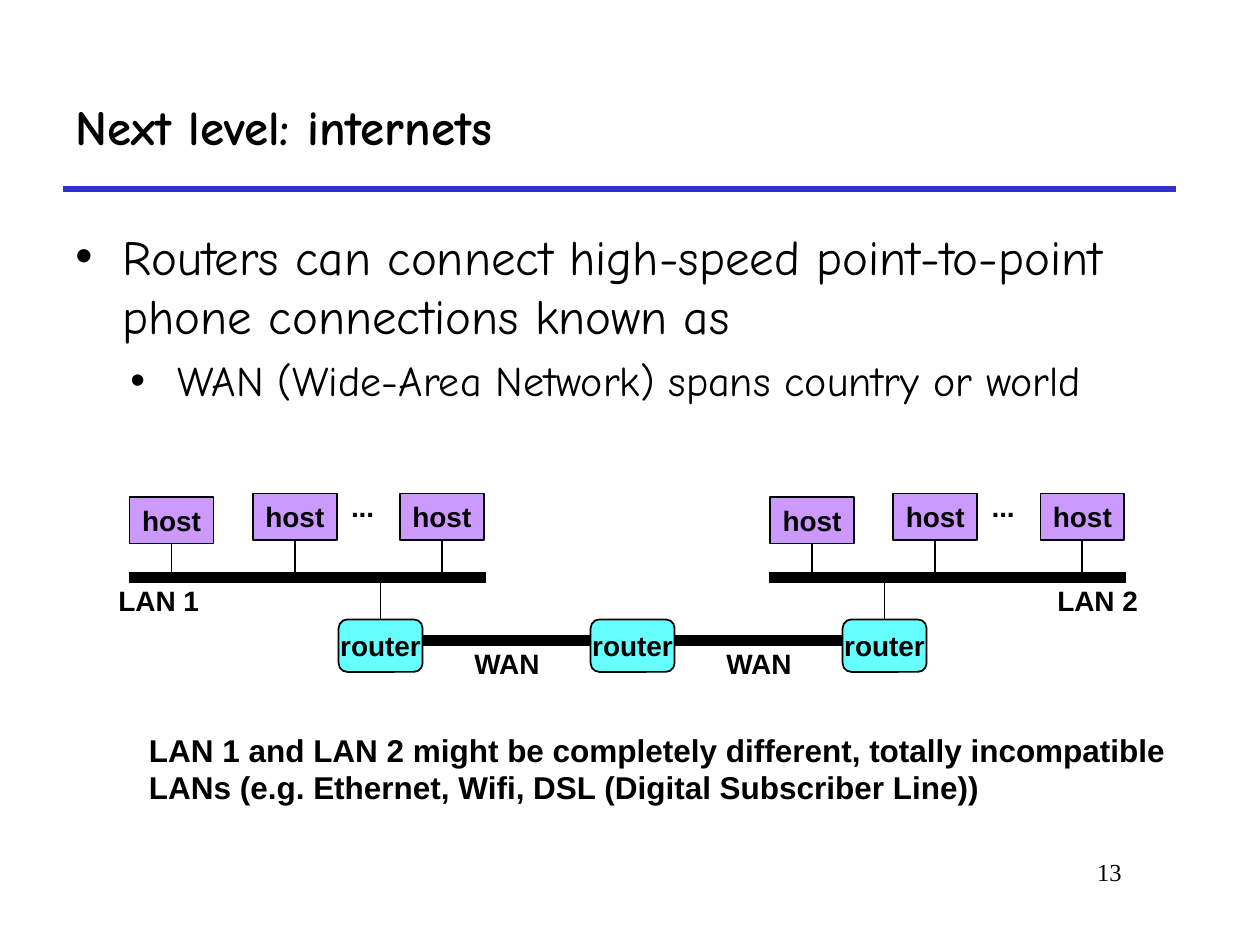
from lxml import etree
from pptx import Presentation
from pptx import util as u
from pptx.dml.color import RGBColor
from pptx.enum import shapes, text
from pptx.oxml.ns import qn

COLORS = {"ink": "000000", "rule": "3333CC", "host": "CC99FF", "router": "66FFFF"}

TITLE = "Next level: internets"
BULLETS = [
    ("Routers can connect high-speed point-to-point phone connections known as", 28, 27, 7),
    ("WAN (Wide-Area Network) spans country or world", 24, 58.5, 6),
]
BULLET_HANG = 27
NOTE = ("LAN 1 and LAN 2 might be completely different, totally incompatible "
        "LANs (e.g. Ethernet, Wifi, DSL (Digital Subscriber Line))")
PAGE_NUMBER = "13"

LANS = [("LAN 1", 73.5, 60.5), ("LAN 2", 439.5, 597)]
HOSTS = [(0.5, 284), (71, 282), (155, 282)]
BUS_Y, BUS_WIDTH, STEM_TOP = 330, 204, 306
ROUTER_LEFT, ROUTER_TOP, ROUTER_STEP, ROUTER_COUNT = 193.5, 354, 144, 3
NODE_WIDTH, HOST_HEIGHT, ROUTER_HEIGHT, LABEL_HEIGHT = 48, 26.6, 30, 26.6
WAN_Y = 366

ALIGN = text.PP_ALIGN
LABEL_FONT = {"name": "Arial", "size": u.Pt(16), "bold": True}
LABEL_FRAME = {"word_wrap": False, "vertical_anchor": text.MSO_ANCHOR.MIDDLE}
GROWING = {**LABEL_FRAME, "auto_size": text.MSO_AUTO_SIZE.SHAPE_TO_FIT_TEXT}


def apply(target, values):
    for name, value in values.items():
        setattr(target, name, value)


def color(name):
    return RGBColor.from_string(COLORS[name])


def write(para, words, font, align=ALIGN.LEFT):
    para.alignment = align
    span = para.add_run()
    span.text = words
    apply(span.font, font)
    span.font.color.rgb = color("ink")


def add_text(page, place, words, font, frame, align=ALIGN.LEFT):
    box = page.shapes.add_textbox(*map(u.Pt, place))
    apply(box.text_frame, frame)
    write(box.text_frame.paragraphs[0], words, font, align)


def add_label(page, left, top, width, words):
    add_text(page, (left, top, width, LABEL_HEIGHT), words, LABEL_FONT, GROWING, ALIGN.CENTER)


def add_node(page, kind, place, words, fill, frame):
    node = page.shapes.add_shape(kind, *map(u.Pt, place))
    node.shadow.inherit = False
    node.fill.solid()
    node.fill.fore_color.rgb = color(fill)
    node.line.color.rgb = color("ink")
    node.line.width = u.Pt(1)
    apply(node.text_frame, frame)
    write(node.text_frame.paragraphs[0], words, LABEL_FONT, ALIGN.CENTER)


def add_line(page, start, end, weight, ink="ink"):
    line = page.shapes.add_connector(shapes.MSO_CONNECTOR.STRAIGHT, *map(u.Pt, start + end))
    line.line.color.rgb = color(ink)
    line.line.width = u.Pt(weight)
    etree.SubElement(line._element.spPr, qn("a:effectLst"))


def add_bullets(page):
    box = page.shapes.add_textbox(*map(u.Pt, (36, 126, 654, 130)))
    box.text_frame.word_wrap = True
    for index, (words, size, indent, gap) in enumerate(BULLETS):
        para = box.text_frame.add_paragraph() if index else box.text_frame.paragraphs[0]
        para.level = index
        para.space_before = u.Pt(gap)
        write(para, words, {"name": "Comic Neue", "size": u.Pt(size)})
        props = para._p.get_or_add_pPr()
        props.set("marL", str(u.Pt(indent)))
        props.set("indent", str(-u.Pt(BULLET_HANG)))
        etree.SubElement(props, qn("a:buFont")).set("typeface", "Arial")
        etree.SubElement(props, qn("a:buChar")).set("char", "•")


def add_lan(page, name, left, label_left):
    add_line(page, (left, BUS_Y), (left + BUS_WIDTH, BUS_Y), 6)
    for offset, top in HOSTS:
        center = left + offset + NODE_WIDTH / 2
        add_line(page, (center, STEM_TOP), (center, BUS_Y), 1)
        add_node(page, shapes.MSO_SHAPE.RECTANGLE,
                 (left + offset, top, NODE_WIDTH, HOST_HEIGHT), "host", "host", GROWING)
    add_label(page, label_left, BUS_Y, 60.5, name)
    add_label(page, left + 120, 276, 27.5, "...")


def add_wan(page):
    for index in range(ROUTER_COUNT):
        left = ROUTER_LEFT + index * ROUTER_STEP
        right, center = left + NODE_WIDTH, left + NODE_WIDTH / 2
        add_node(page, shapes.MSO_SHAPE.ROUNDED_RECTANGLE,
                 (left, ROUTER_TOP, NODE_WIDTH, ROUTER_HEIGHT), "router", "router", LABEL_FRAME)
        if index in (0, ROUTER_COUNT - 1):
            add_line(page, (center, BUS_Y), (center, ROUTER_TOP), 1)
        if index < ROUTER_COUNT - 1:
            add_line(page, (right, WAN_Y), (left + ROUTER_STEP, WAN_Y), 6)
            add_label(page, right + 22, WAN_Y, 52.5, "WAN")


def main():
    deck = Presentation()
    deck.slide_width, deck.slide_height = u.Pt(720), u.Pt(540)
    page = deck.slides.add_slide(deck.slide_layouts[6])

    add_line(page, (36, 108), (672, 108), 3, "rule")
    add_text(page, (546, 486, 102, 36), PAGE_NUMBER,
             {"name": "Times New Roman", "size": u.Pt(14)}, {"word_wrap": True}, ALIGN.RIGHT)
    add_text(page, (36, 36, 636, 72), TITLE,
             {"name": "Comic Neue", "size": u.Pt(28), "bold": True},
             {"word_wrap": True, "vertical_anchor": text.MSO_ANCHOR.MIDDLE})
    add_bullets(page)
    for lan in LANS:
        add_lan(page, *lan)
    add_wan(page)
    add_text(page, (78, 414, 600, 50.5), NOTE, {**LABEL_FONT, "size": u.Pt(18)},
             {**GROWING, "word_wrap": True, "vertical_anchor": text.MSO_ANCHOR.TOP})
    deck.save("out.pptx")


if __name__ == "__main__":
    main()
